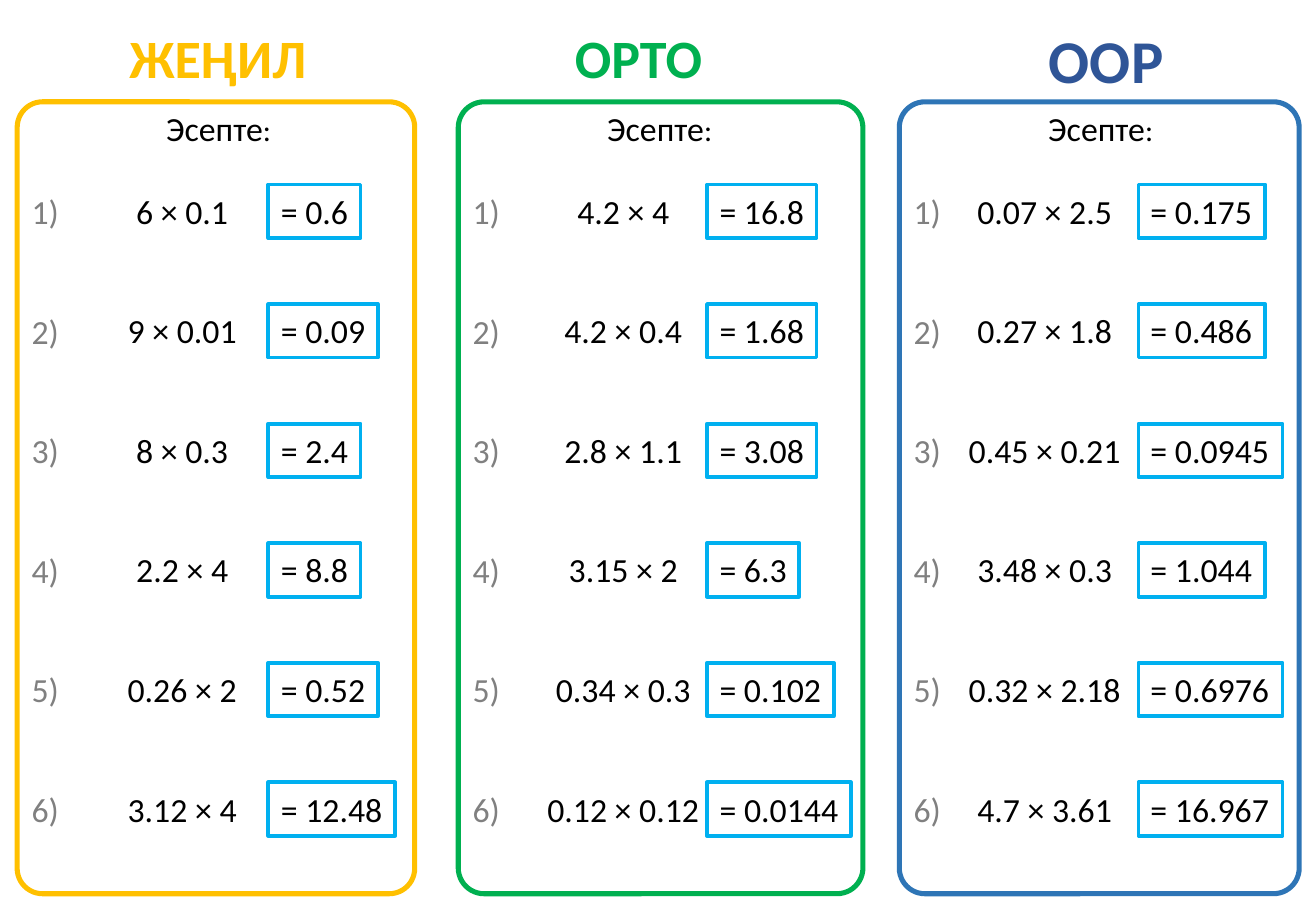
"""Build a worksheet slide with three difficulty levels of decimal multiplication."""
from pptx import Presentation
from pptx.dml.color import RGBColor
from pptx.enum.shapes import MSO_SHAPE
from pptx.enum.text import MSO_ANCHOR, MSO_AUTO_SIZE, PP_ALIGN
from pptx.util import Cm, Pt

RECT, ROUNDED = MSO_SHAPE.RECTANGLE, MSO_SHAPE.ROUNDED_RECTANGLE
LEFT, CENTER = PP_ALIGN.LEFT, PP_ALIGN.CENTER
TOP = MSO_ANCHOR.TOP
GROW = MSO_AUTO_SIZE.SHAPE_TO_FIT_TEXT
COLORS = {
    "easy": "FFC000", "medium": "00B050", "hard": "2E75B6", "hard_title": "2F5597",
    "answer": "00B0F0", "number": "808080", "text": "000000", "white": "FFFFFF",
}
PANEL_TOP, PANEL_HEIGHT, PANEL_PITCH = 2.13, 16.56, 9.22
ROW_TOP, ROW_PITCH, ROW_HEIGHT = 3.86, 2.5, 1.12
DIGIT_WIDTH, POINT_WIDTH = 0.36, 0.18

LEVELS = [
    {"panel": ("easy", 8.31), "title": ("ЖЕҢИЛ", "easy", 32, 1.88, 0.38, 5.36, 1.63),
     "task_center": 3.81, "answer_left": 5.61, "align": CENTER,
     "tasks": [("6 × 0.1", "0.6"), ("9 × 0.01", "0.09"), ("8 × 0.3", "2.4"),
               ("2.2 × 4", "8.8"), ("0.26 × 2", "0.52"), ("3.12 × 4", "12.48")]},
    {"panel": ("medium", 8.46), "title": ("ОРТО", "medium", 32, 11.1, 0.38, 4.5, 1.63),
     "task_center": 13.03, "answer_left": 14.78, "align": CENTER,
     "tasks": [("4.2 × 4", "16.8"), ("4.2 × 0.4", "1.68"), ("2.8 × 1.1", "3.08"),
               ("3.15 × 2", "6.3"), ("0.34 × 0.3", "0.102"), ("0.12 × 0.12", "0.0144")]},
    {"panel": ("hard", 8.36), "title": ("ООР", "hard_title", 36, 21.31, 0.36, 3.63, 1.8),
     "task_center": 21.84, "answer_left": 23.8, "align": LEFT,
     "tasks": [("0.07 × 2.5", "0.175"), ("0.27 × 1.8", "0.486"), ("0.45 × 0.21", "0.0945"),
               ("3.48 × 0.3", "1.044"), ("0.32 × 2.18", "0.6976"), ("4.7 × 3.61", "16.967")]},
]

prs = Presentation()
prs.slide_width, prs.slide_height = Cm(27.51), Cm(19.05)
s = prs.slides.add_slide(prs.slide_layouts[6])


def write(sp, runs, color="text", align=CENTER, bold=False, wrap=False):
    """Fill a shape with one paragraph of (text, size) runs."""
    tf = sp.text_frame
    tf.word_wrap = wrap
    tf.auto_size = GROW
    tf.vertical_anchor = TOP
    p = tf.paragraphs[0]
    p.alignment = align
    for text, size in runs:
        r = p.add_run()
        r.text = text
        r.font.name = "Calibri"
        r.font.size = Pt(size)
        r.font.bold = bold
        r.font.color.rgb = RGBColor.from_string(COLORS[color])
    return tf


def text_width(text, base):
    """Give the width in cm of a box around a calculation."""
    digits = sum(c.isdigit() for c in text)
    return base + DIGIT_WIDTH * digits + POINT_WIDTH * text.count(".")


for i, level in enumerate(LEVELS):
    panel_left = 0.36 + i * PANEL_PITCH
    panel_color, panel_width = level["panel"]
    panel = s.shapes.add_shape(ROUNDED, Cm(panel_left), Cm(PANEL_TOP),
                               Cm(panel_width), Cm(PANEL_HEIGHT))
    panel.adjustments[0] = 0.064
    panel.shadow.inherit = False
    panel.fill.background()
    panel.line.color.rgb = RGBColor.from_string(COLORS[panel_color])
    panel.line.width = Pt(3)

    heading = s.shapes.add_textbox(Cm(panel_left + 2.84), Cm(PANEL_TOP), Cm(2.74), Cm(ROW_HEIGHT))
    write(heading, [("Эсепте", 20), (":", 18)])

    for row, (task, result) in enumerate(level["tasks"]):
        top = ROW_TOP + row * ROW_PITCH
        number = s.shapes.add_textbox(Cm(panel_left), Cm(top + 0.13), Cm(0.89), Cm(0.86))
        tf = write(number, [(f"{row + 1})", 20)], "number", LEFT)
        tf.margin_left = Cm(0.3)
        tf.margin_top = tf.margin_right = tf.margin_bottom = 0

        answer = s.shapes.add_shape(RECT, Cm(level["answer_left"]), Cm(top),
                                    Cm(text_width(result, 1.03)), Cm(ROW_HEIGHT))
        answer.shadow.inherit = False
        answer.fill.solid()
        answer.fill.fore_color.rgb = RGBColor.from_string(COLORS["white"])
        answer.line.color.rgb = RGBColor.from_string(COLORS["answer"])
        answer.line.width = Pt(2.25)
        write(answer, [(f"= {result}", 20)], align=level["align"])

        width = text_width(task, 1.19)
        expression = s.shapes.add_textbox(Cm(level["task_center"] - width / 2), Cm(top),
                                          Cm(width), Cm(ROW_HEIGHT))
        write(expression, [(task, 20)])

    name, title_color, size, *box = level["title"]
    title = s.shapes.add_textbox(*map(Cm, box))
    write(title, [(name, size)], title_color, bold=True, wrap=True)

prs.save("out.pptx")
